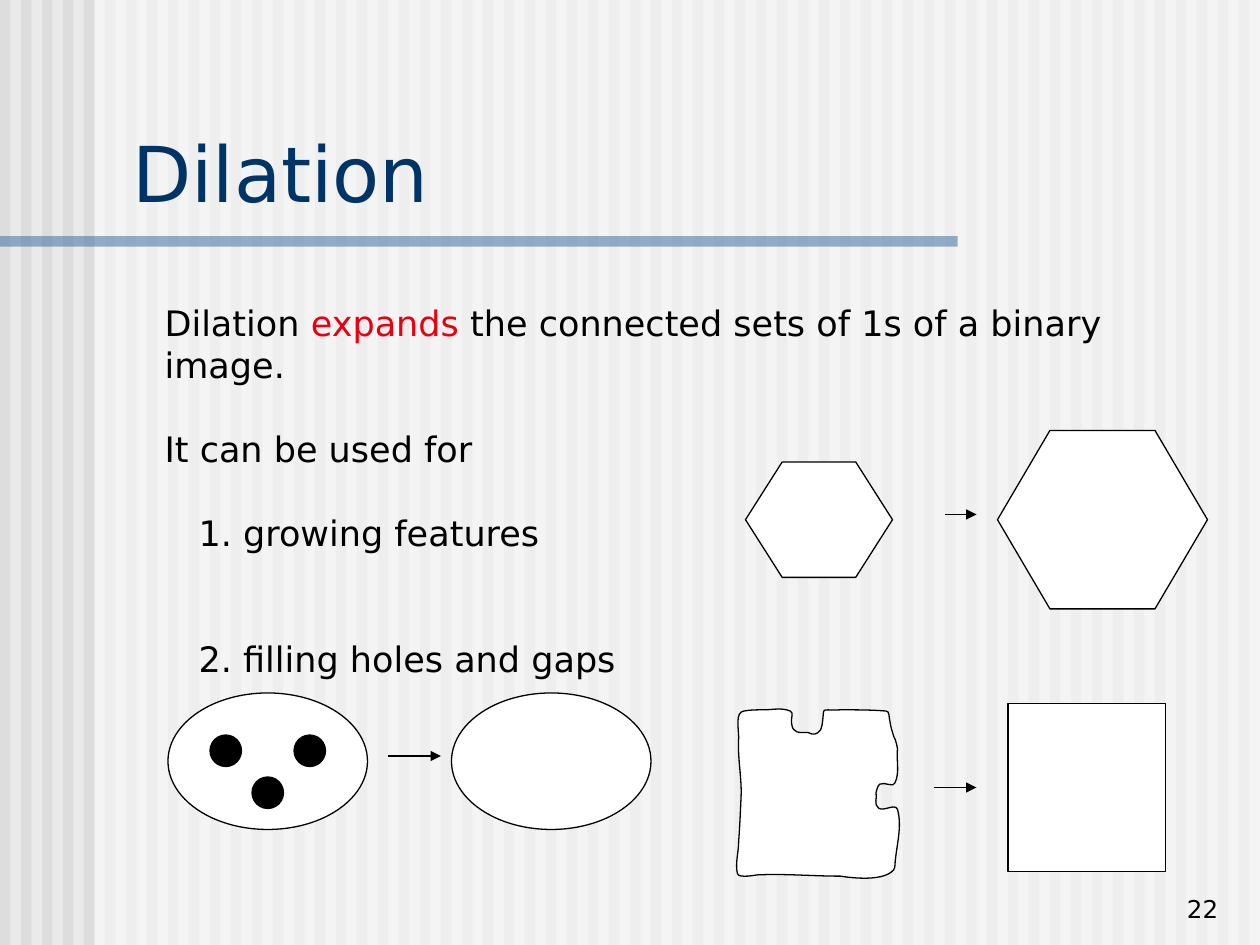
from dataclasses import dataclass

from lxml.etree import SubElement
from pptx import Presentation
from pptx.dml.color import RGBColor
from pptx.enum.shapes import MSO_CONNECTOR, MSO_SHAPE
from pptx.enum.text import MSO_ANCHOR, PP_ALIGN
from pptx.oxml.ns import qn
from pptx.util import Inches, Pt

COLUMNS, ROWS = 120, 90
CELL = Inches(10) // COLUMNS


@dataclass(frozen=True)
class Theme:
    font: str = "DejaVu Sans"
    title_size: int = 44
    body_size: int = 20
    number_size: int = 14
    line_width: float = 0.75
    background: str = "EAEAEA"
    stripe: str = "DDDDDD"
    bar: str = "336699"
    title: str = "003366"
    ink: str = "000000"
    paper: str = "FFFFFF"
    accent: str = "E60113"


THEME = Theme()


@dataclass(frozen=True)
class Box:
    """A rectangle measured in grid columns and rows."""
    column: float
    row: float
    columns: float
    rows: float

    def inner(self, column, row, columns, rows):
        return Box(self.column + column, self.row + row, columns, rows)

    def lengths(self):
        return [round(value * CELL)
                for value in (self.column, self.row, self.columns, self.rows)]


# Torn square in hundredths of an inch: two control points and an end per curve.
TORN_START = (23, 5)
TORN_CURVES = [
    (30, 5, 37, 3, 44, 6), (47, 7, 44, 13, 45, 16), (46, 24, 51, 23, 58, 23),
    (62, 25, 65, 25, 68, 21), (69, 20, 69, 19, 69, 18), (72, 1, 66, 6, 84, 5),
    (96, 5, 109, 5, 120, 6), (123, 6, 122, 11, 123, 14), (124, 20, 124, 19, 126, 26),
    (128, 29, 129, 36, 129, 36), (128, 45, 131, 55, 127, 63), (126, 67, 119, 62, 115, 64),
    (113, 65, 112, 71, 112, 71), (113, 75, 110, 80, 114, 83), (118, 86, 127, 79, 129, 84),
    (133, 98, 128, 113, 127, 128), (127, 129, 127, 131, 126, 132),
    (117, 143, 84, 137, 84, 137), (61, 137, 41, 135, 18, 136), (17, 136, 3, 139, 2, 135),
    (0, 127, 3, 118, 3, 109), (4, 97, 5, 71, 5, 71), (5, 56, 2, 42, 3, 27),
    (3, 20, 0, 7, 7, 6), (12, 5, 17, 5, 23, 5),
]


def set_style(shape, fill, line=None, opacity=None):
    shape.shadow.inherit = False
    shape.fill.solid()
    shape.fill.fore_color.rgb = RGBColor.from_string(fill)
    if opacity is not None:
        color = shape._element.spPr.find(f"{qn('a:solidFill')}/{qn('a:srgbClr')}")
        SubElement(color, qn("a:alpha")).set("val", str(opacity * 1000))
    if line:
        shape.line.color.rgb = RGBColor.from_string(line)
        shape.line.width = Pt(THEME.line_width)
    else:
        shape.line.fill.background()


def add_figure(slide, kind, box, fill=THEME.paper, line=THEME.ink, opacity=None, adjust=None):
    shape = slide.shapes.add_shape(kind, *box.lengths())
    set_style(shape, fill, line, opacity)
    if adjust is not None:
        shape.adjustments[0] = adjust


def add_arrow(slide, box):
    """Draw an arrow along the top edge of the box, pointing right."""
    left, top, width, _ = box.lengths()
    arrow = slide.shapes.add_connector(MSO_CONNECTOR.STRAIGHT, left, top, left + width, top)
    arrow.line.color.rgb = RGBColor.from_string(THEME.ink)
    arrow.line.width = Pt(THEME.line_width)
    properties = arrow._element.spPr
    SubElement(properties.find(qn("a:ln")), qn("a:tailEnd")).set("type", "triangle")
    SubElement(properties, qn("a:effectLst"))


def add_text(slide, box, paragraphs, size, color=THEME.ink, anchor=MSO_ANCHOR.TOP,
             align=PP_ALIGN.LEFT):
    """Each paragraph is (runs, space before, left indent); a run is (text, colour or None)."""
    frame = slide.shapes.add_textbox(*box.lengths()).text_frame
    frame.word_wrap = True
    frame.vertical_anchor = anchor
    for index, (runs, before, indent) in enumerate(paragraphs):
        paragraph = frame.add_paragraph() if index else frame.paragraphs[0]
        paragraph.alignment = align
        if before:
            paragraph.space_before = Pt(before)
        if indent:
            paragraph._p.get_or_add_pPr().set("marL", str(Inches(indent)))
        for text, run_color in runs:
            run = paragraph.add_run()
            run.text = text
            run.font.name = THEME.font
            run.font.size = Pt(size)
            run.font.color.rgb = RGBColor.from_string(run_color or color)


def add_torn_square(slide, box):
    left, top, _, _ = box.lengths()
    unit = Inches(0.01)
    builder = slide.shapes.build_freeform(*TORN_START, scale=unit)
    builder.add_line_segments([curve[4:] for curve in TORN_CURVES], close=True)
    shape = builder.convert_to_shape(left, top)
    set_style(shape, THEME.paper, THEME.ink)
    # The path counts from the smallest end point, so control points shift by it.
    shift_x = min(curve[4] for curve in TORN_CURVES)
    shift_y = min(curve[5] for curve in TORN_CURVES)
    segments = list(shape._element.iter(qn("a:lnTo")))
    for segment, curve in zip(segments, TORN_CURVES):
        segment.tag = qn("a:cubicBezTo")
        segment.remove(segment[0])
        for x, y in zip(curve[::2], curve[1::2]):
            point = SubElement(segment, qn("a:pt"))
            point.set("x", str(x - shift_x))
            point.set("y", str(y - shift_y))


def add_backdrop(slide, box):
    slide.background.fill.solid()
    slide.background.fill.fore_color.rgb = RGBColor.from_string(THEME.background)
    for column in range(0, box.columns, 2):
        add_figure(slide, MSO_SHAPE.RECTANGLE, box.inner(column, 0, 1, box.rows),
                   THEME.stripe, None)
    add_figure(slide, MSO_SHAPE.RECTANGLE, box.inner(9, 0, box.columns - 9, box.rows),
               THEME.paper, None, 50)
    add_figure(slide, MSO_SHAPE.RECTANGLE, box.inner(0, 22.5, 91.2, 1), THEME.bar, None, 50)


def add_explanation(slide, box):
    line = THEME.body_size * 1.2
    add_text(slide, box, [
        ([("Dilation ", None), ("expands", THEME.accent),
          (" the connected sets of 1s of a binary image.", None)], 0, 0),
        ([("It can be used for", None)], line, 0),
        ([("1. growing features", None)], line, 0.27),
        ([("2. filling holes and gaps", None)], 2 * line, 0.27),
    ], THEME.body_size)


def add_growing_features(slide, box):
    add_figure(slide, MSO_SHAPE.HEXAGON, box.inner(0, 3, 14, 11), adjust=0.318)
    add_figure(slide, MSO_SHAPE.HEXAGON, box.inner(24, 0, 20, 17), adjust=0.294)
    add_arrow(slide, box.inner(19, 8, 3, 0))


def add_filling_holes(slide, box):
    for column in (0, 27):
        add_figure(slide, MSO_SHAPE.OVAL, box.inner(column, 0, 19, 13))
    for column, row in ((4, 4), (12, 4), (8, 8)):
        add_figure(slide, MSO_SHAPE.OVAL, box.inner(column, row, 3, 3), THEME.ink)
    add_arrow(slide, box.inner(21, 6, 5, 0))


def add_filling_gaps(slide, box):
    add_torn_square(slide, box)
    add_figure(slide, MSO_SHAPE.RECTANGLE, box.inner(26, 0, 15, 16))
    add_arrow(slide, box.inner(19, 8, 4, 0))


def main():
    presentation = Presentation()
    presentation.slide_width = COLUMNS * CELL
    presentation.slide_height = ROWS * CELL
    slide = presentation.slides.add_slide(presentation.slide_layouts[6])
    add_backdrop(slide, Box(0, 0, COLUMNS, ROWS))
    add_text(slide, Box(11.4, 11.3, 107.2, 10), [([("Dilation", None)], 0, 0)],
             THEME.title_size, THEME.title, MSO_ANCHOR.BOTTOM)
    add_explanation(slide, Box(14.5, 28.1, 96.7, 33.2))
    add_growing_features(slide, Box(71, 41, 44, 17))
    add_filling_gaps(slide, Box(70, 67, 41, 17))
    add_filling_holes(slide, Box(16, 66, 46, 13))
    add_text(slide, Box(92.2, 82.5, 25, 6), [([("22", None)], 0, 0)], THEME.number_size,
             anchor=MSO_ANCHOR.BOTTOM, align=PP_ALIGN.RIGHT)
    presentation.save("out.pptx")


if __name__ == "__main__":
    main()
